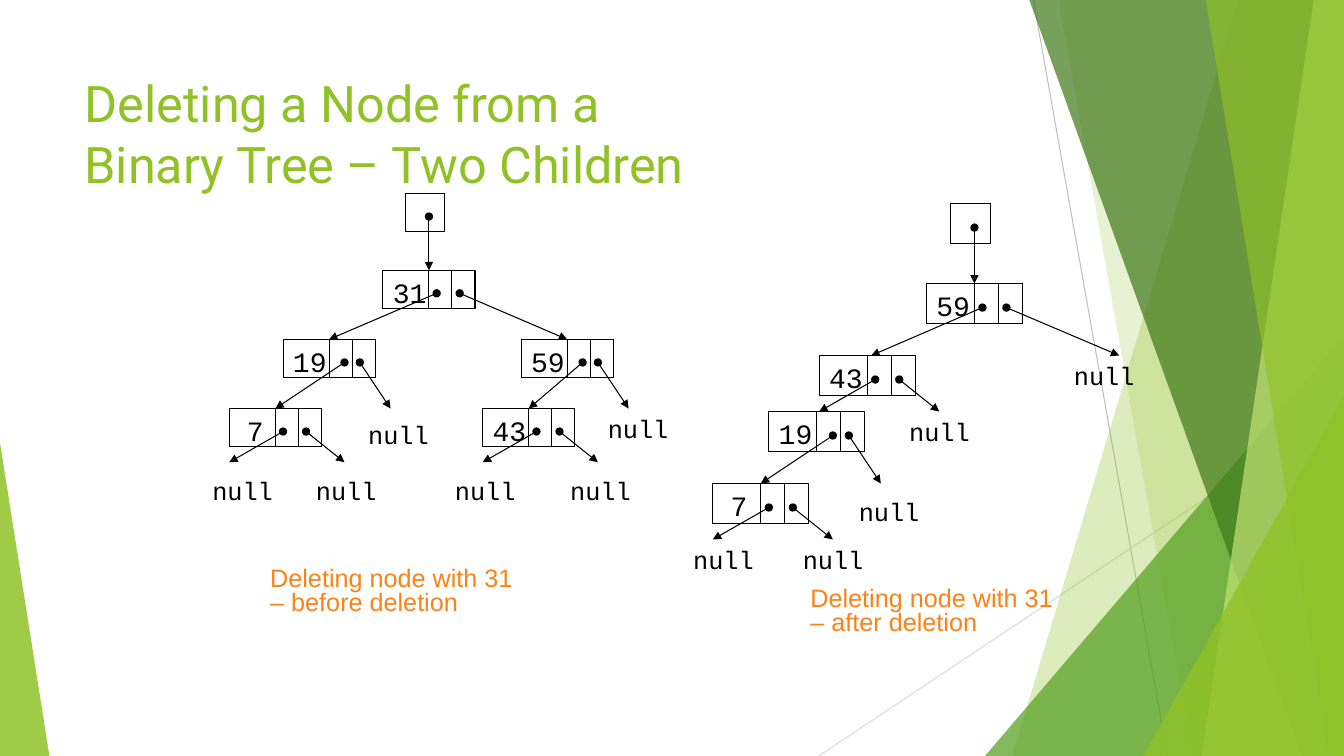
from lxml import etree
from pptx import Presentation
from pptx.dml.color import RGBColor
from pptx.enum.shapes import MSO_CONNECTOR, MSO_SHAPE
from pptx.enum.text import MSO_ANCHOR, MSO_AUTO_SIZE
from pptx.oxml.ns import qn
from pptx.util import Inches, Pt

STRAIGHT = MSO_CONNECTOR.STRAIGHT
RECT, TRIANGLE = MSO_SHAPE.RECTANGLE, MSO_SHAPE.ISOSCELES_TRIANGLE
TOP = MSO_ANCHOR.TOP
GROW = MSO_AUTO_SIZE.SHAPE_TO_FIT_TEXT
BLACK = RGBColor(0x00, 0x00, 0x00)
LIME = RGBColor(0x90, 0xC2, 0x26)
GREEN = RGBColor(0x54, 0xA0, 0x21)
FOREST = RGBColor(0x3F, 0x78, 0x19)
PALE = RGBColor(0xC0, 0xE4, 0x74)
ORANGE = RGBColor(0xFA, 0x82, 0x18)
SILVER = RGBColor(0xBF, 0xBF, 0xBF)
MIST = RGBColor(0xD9, 0xD9, 0xD9)

prs = Presentation()
prs.slide_width, prs.slide_height = Inches(13.33), Inches(7.5)
W, H = prs.slide_width, prs.slide_height
PX, PY = W / 100, H / 100  # one percent of the slide
shapes = prs.slides.add_slide(prs.slide_layouts[6]).shapes


def add_line(x1, y1, x2, y2, color, arrow=False):
    """Draw a thin line, with a dot at its start and an arrowhead if asked."""
    s = shapes.add_connector(STRAIGHT, int(x1), int(y1), int(x2), int(y2))
    s.line.color.rgb = color
    s.line.width = Pt(0.75)
    if arrow:
        ln = s.line._get_or_add_ln()
        etree.SubElement(ln, qn("a:headEnd"), type="oval")
        etree.SubElement(ln, qn("a:tailEnd"), type="triangle")
    etree.SubElement(s._element.spPr, qn("a:effectLst"))


def add_text(x, y, w, h, lines, font, size, color, wrap=True, spacing=None):
    """Add a text box holding one paragraph with a run for each line."""
    tf = shapes.add_textbox(int(x), int(y), int(w), int(h)).text_frame
    tf.word_wrap = wrap
    tf.auto_size = GROW
    tf.vertical_anchor = TOP
    p = tf.paragraphs[0]
    p.line_spacing = spacing
    for i, line in enumerate(lines):
        if i:
            p.add_line_break()
        r = p.add_run()
        r.text = line
        r.font.name, r.font.size = font, Pt(size)
        r.font.color.rgb = color


# Background, in percent of the slide
add_line(76.89 * PX, 0, 86.87 * PX, H, SILVER)
add_line(W, 53.73 * PY, 60.92 * PX, H, MIST)

# Bands run to the right edge: (top x, bottom x).
# Triangles stand on the bottom edge: (left, top, width, apex).
facets = [
    ((92.12, 75.32), LIME, 30),
    ((78.77, 88.75), LIME, 20),
    ((73.29, 44.4, 26.71, 1), GREEN, 72),
    ((76.59, 96.85), FOREST, 70),
    ((97.75, 89.42), PALE, 70),
    ((89.72, 98.87), LIME, 65),
    ((85.07, 52.4, 14.93, 1), LIME, 80),
    ((0, 58.53, 3.68, 0), LIME, 85),
]
for geometry, color, opacity in facets:
    if len(geometry) == 2:
        top_x, bottom_x = (int(x * PX) for x in geometry)
        outline = shapes.build_freeform(top_x, 0)
        outline.add_line_segments([(W, 0), (W, H), (bottom_x, H)], close=True)
        s = outline.convert_to_shape()
    else:
        left, top, width, apex = geometry
        s = shapes.add_shape(TRIANGLE, int(left * PX), int(top * PY),
                             int(width * PX), int((100 - top) * PY))
        s.adjustments[0] = apex
    s.shadow.inherit = False
    s.line.fill.background()
    s.fill.solid()
    s.fill.fore_color.rgb = color
    rgb = s._element.spPr.find(".//" + qn("a:srgbClr"))
    etree.SubElement(rgb, qn("a:alpha"), val=str(opacity * 1000))

add_text(5.55 * PX, 8.93 * PY, 70.52 * PX, 19.2 * PY,
         ["Deleting a Node from a ", "Binary Tree – Two Children"],
         "Roboto", 36, LIME)
for x, y, moment in [(19.37, 74.47, "before"), (59.56, 77.13, "after")]:
    add_text(x * PX, y * PY, 20.78 * PX, 7.87 * PY,
             [f"Deleting node with 31 – {moment} deletion"],
             "Arial", 18, ORANGE, spacing=0.8)

# Each tree has its own square grid: origin, cell, root column, nodes, nulls.
# Node: value, column, row, offsets of the two pointers,
# columns where their arrows end, row where they end.
before = (17.06 * PX, 25.6 * PY, W / 175, 23, [
    ("31", 20, 10, (7, 10), (13, 44), 19),
    ("19", 7, 19, (8, 10), (6, 21), 28),
    ("59", 38, 19, (8, 10), (39, 52), 28),
    ("7", 0, 28, (7, 10), (0, 15), 35),
    ("43", 33, 28, (7, 10), (33, 48), 35),
], [(16.8, 28.8), (48, 28), (-3.5, 36), (10, 36), (28.1, 36), (43.1, 36)])
after = (53.04 * PX, 26.93 * PY, W / 168, 29.7, [
    ("59", 26.7, 10, (7, 10), (19.8, 50.8), 19),
    ("43", 13.3, 19, (7, 10), (13.3, 28.3), 26),
    ("19", 7, 26, (8, 10), (6, 21), 35),
    ("7", 0, 35, (7, 10), (0, 15), 42),
], [(23.3, 26), (43.9, 19), (-3.7, 42), (10, 42), (17, 36)])

for x0, y0, cell, root, nodes, nulls in (before, after):
    boxes = [(root, 0, 5)]
    arrows = [(root + 3, 3, root + 3, 10)]
    labels = [("null", col, row, 18, 0.8) for col, row in nulls]
    for value, col, row, starts, ends, end_row in nodes:
        boxes += [(col, row, 12), (col + 6, row, 3), (col + 9, row, 3)]
        arrows += [(col + start, row + 3, end, end_row)
                   for start, end in zip(starts, ends)]
        indent, width = (1, 0.37) if len(value) == 1 else (0, 0.54)
        labels.append((value, col + indent, row, 20, width))

    for col, row, span in boxes:
        s = shapes.add_shape(RECT, int(x0 + col * cell), int(y0 + row * cell),
                             int(span * cell), int(5 * cell))
        s.shadow.inherit = False
        s.fill.background()
        s.line.color.rgb = BLACK
        s.line.width = Pt(0.75)
    for col, row, end_col, end_row in arrows:
        add_line(x0 + col * cell, y0 + row * cell,
                 x0 + end_col * cell, y0 + end_row * cell, BLACK, arrow=True)
    for label, col, row, size, width in labels:
        add_text(x0 + col * cell, y0 + row * cell, Inches(width), Inches(0.4),
                 [label], "Courier New", size, BLACK, wrap=False)

prs.save("out.pptx")
